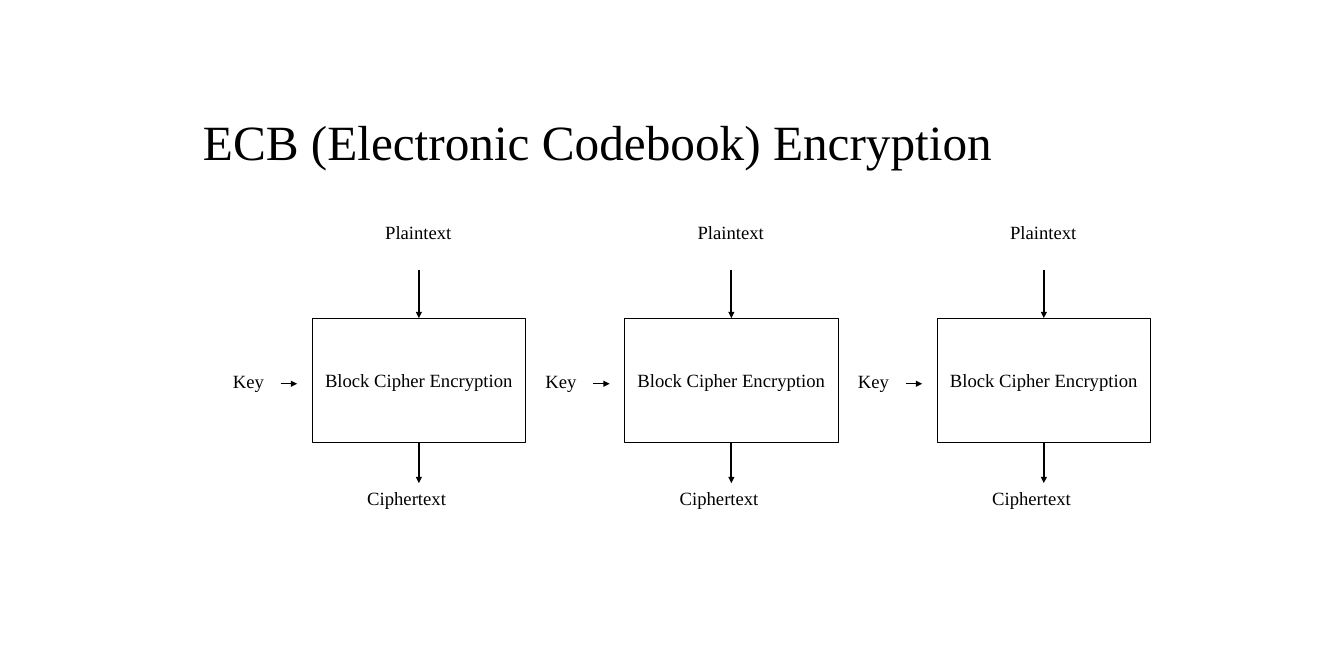
from lxml import etree
from pptx import Presentation
from pptx.dml.color import RGBColor
from pptx.enum.shapes import MSO_CONNECTOR, MSO_SHAPE
from pptx.enum.text import MSO_ANCHOR, PP_ALIGN
from pptx.oxml.ns import qn
from pptx.util import Inches, Pt

BLACK = RGBColor(0, 0, 0)
WHITE = RGBColor(255, 255, 255)
FONT = "Times New Roman"
STRAIGHT = MSO_CONNECTOR.STRAIGHT
RECTANGLE = MSO_SHAPE.RECTANGLE
MIDDLE, TOP = MSO_ANCHOR.MIDDLE, MSO_ANCHOR.TOP
CENTER, LEFT = PP_ALIGN.CENTER, PP_ALIGN.LEFT

# Block grid, in inches
BLOCK_COUNT = 3
FIRST_LEFT, PITCH = 4.18, 4.185
BLOCK_TOP, BLOCK_W, BLOCK_H = 4.26, 2.86, 1.67
LABEL_H = 0.49


def set_text(shape, text, size=18, align=LEFT, anchor=TOP):
    tf = shape.text_frame
    tf.word_wrap = True
    tf.vertical_anchor = anchor
    p = tf.paragraphs[0]
    p.text = text
    p.alignment = align
    p.font.name = FONT
    p.font.size = Pt(size)
    p.font.color.rgb = BLACK
    return p


def add_label(s, text, x, y, w, h=LABEL_H, **style):
    box = s.shapes.add_textbox(Inches(x), Inches(y), Inches(w), Inches(h))
    return set_text(box, text, **style)


def add_arrow(s, x1, y1, x2, y2, width):
    line = s.shapes.add_connector(STRAIGHT, Inches(x1), Inches(y1), Inches(x2), Inches(y2))
    line.line.color.rgb = BLACK
    line.line.width = Pt(width)
    etree.SubElement(line.line._get_or_add_ln(), qn("a:tailEnd"), type="triangle")
    etree.SubElement(line._element.spPr, qn("a:effectLst"))


def add_cipher_block(s, x):
    middle = x + BLOCK_W / 2
    bottom = BLOCK_TOP + BLOCK_H

    # Cipher box
    box = s.shapes.add_shape(RECTANGLE, Inches(x), Inches(BLOCK_TOP),
                             Inches(BLOCK_W), Inches(BLOCK_H))
    box.shadow.inherit = False
    box.fill.solid()
    box.fill.fore_color.rgb = WHITE
    box.line.color.rgb = BLACK
    box.line.width = Pt(0.75)
    set_text(box, "Block Cipher Encryption", align=CENTER, anchor=MIDDLE)

    # Key input
    add_label(s, "Key", x - 1.16, 4.9, 0.75)
    add_arrow(s, x - 0.42, 5.14, x - 0.2, 5.14, 1)

    # Plaintext in, ciphertext out
    add_label(s, "Plaintext", x + 0.88, 2.91, 1.37)
    add_arrow(s, middle, 3.61, middle, BLOCK_TOP, 2)
    add_label(s, "Ciphertext", x + 0.64, 6.47, 1.58)
    add_arrow(s, middle, bottom, middle, 6.47, 2)


def main():
    prs = Presentation()
    prs.slide_width, prs.slide_height = Inches(18), Inches(9)
    s = prs.slides.add_slide(prs.slide_layouts[6])

    # Title
    title = add_label(s, "ECB (Electronic Codebook) Encryption", 2.62, 1.21, 11.5, 1.45,
                      size=47.5, anchor=MIDDLE)
    title.line_spacing = 0.9

    # Independent cipher blocks
    for i in range(BLOCK_COUNT):
        add_cipher_block(s, FIRST_LEFT + i * PITCH)

    prs.save("out.pptx")


if __name__ == "__main__":
    main()
